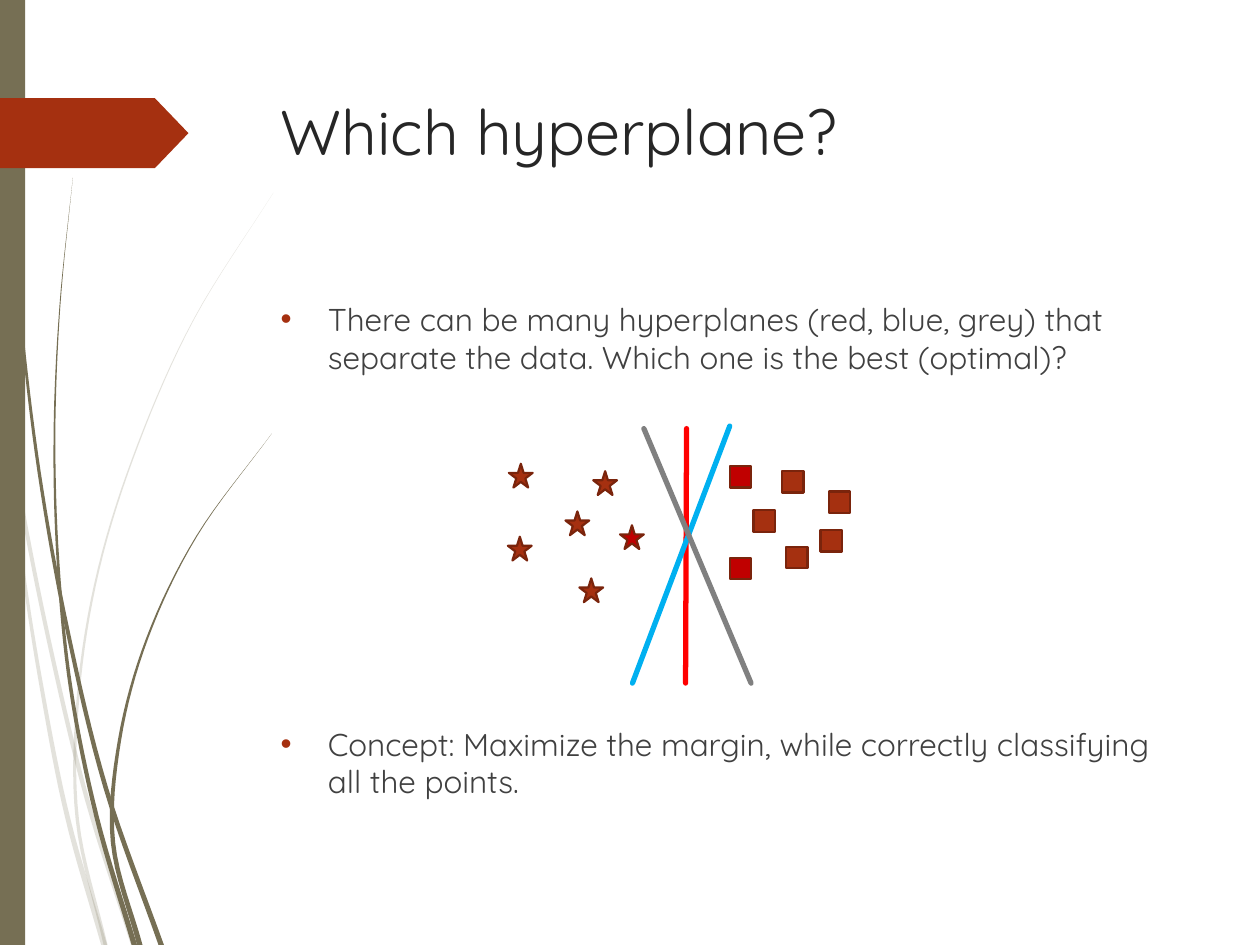
"""Build the slide about choosing a separating hyperplane."""
from collections import namedtuple

from lxml.etree import SubElement
from pptx import Presentation
from pptx.dml.color import RGBColor
from pptx.enum.shapes import MSO_CONNECTOR as Connector, MSO_SHAPE as Shape
from pptx.enum.text import MSO_ANCHOR as Anchor, PP_ALIGN as Align
from pptx.oxml.ns import qn
from pptx.util import Cm, Pt

Blade = namedtuple("Blade", "top foot tip_width foot_width opacity centres")
Sample = namedtuple("Sample", "kind size ordinary support_vectors")
Hyperplane = namedtuple("Hyperplane", "color start end")

THEME = {
    "font": "Quicksand", "title_size": 36, "body_size": 18,
    "title": "262626", "body": "404040", "accent": "A53010", "outline": "7A240C",
    "support": "C00000", "olive": "766F54",
    "red": "FF0000", "blue": "00B0F0", "grey": "808080",
    "outline_width": 1.25, "hyperplane_width": 3,
}
PAGE_WIDTH, PAGE_HEIGHT = 25.4, 19.05
TEXT_LEFT, TEXT_WIDTH = 5.41, 18.31
BULLET_INDENT, FIGURE_GAP = 0.95, 199.5

TITLE = "Which hyperplane?"
BULLETS = [
    "There can be many hyperplanes (red, blue, grey) that separate the data. "
    "Which one is the best (optimal)?",
    "Concept: Maximize the margin, while correctly classifying all the points.",
]
SAMPLES = [
    Sample(Shape.STAR_5_POINT, 0.48,
           ordinary=[(10.26, 9.35), (11.4, 10.31), (10.24, 10.82), (11.96, 9.5), (11.68, 11.66)],
           support_vectors=[(12.5, 10.59)]),
    Sample(Shape.RECTANGLE, 0.43,
           ordinary=[(15.77, 9.5), (16.54, 10.69), (15.19, 10.29), (15.85, 11.02), (16.71, 9.91)],
           support_vectors=[(14.71, 11.25), (14.71, 9.4)]),
]
HYPERPLANES = [
    Hyperplane("red", start=(13.84, 8.64), end=(13.82, 13.77)),
    Hyperplane("blue", start=(14.71, 8.59), end=(12.75, 13.77)),
    Hyperplane("grey", start=(12.98, 8.64), end=(15.14, 13.77)),
]
GRASS = [
    Blade(7.37, PAGE_HEIGHT, 0.07, 0.1, 20, [0, 0.46, 1.05, 1.76, 2.69]),
    Blade(8.89, PAGE_HEIGHT, 0.04, 0.12, 20, [0.2, 0.46, 0.86, 1.37, 2.1]),
    Blade(3.89, PAGE_HEIGHT, 0, 0.08, 20, [5.51, 3.92, 2.79, 1.99, 1.58, 1.56, 2.13]),
    Blade(0, PAGE_HEIGHT, 0.02, 0.11, 100, [0.06, 0.16, 0.41, 0.79, 1.36, 2.13, 3.25]),
    Blade(3.58, PAGE_HEIGHT, 0, 0.11, 100, [1.47, 1.21, 1.1, 1.17, 1.43, 1.95, 2.71]),
    Blade(8.74, PAGE_HEIGHT, 0, 0.11, 100, [5.48, 3.97, 2.97, 2.41, 2.28, 2.82]),
]


def color(name):
    return RGBColor.from_string(THEME[name])


def paint(shape, fill, outline=None):
    shape.shadow.inherit = False
    shape.fill.solid()
    shape.fill.fore_color.rgb = color(fill)
    if outline:
        shape.line.color.rgb = color(outline)
        shape.line.width = Pt(THEME["outline_width"])
    else:
        shape.line.fill.background()


def add_preset(slide, kind, box, fill, outline=None):
    shape = slide.shapes.add_shape(kind, *map(Cm, box))
    paint(shape, fill, outline)
    return shape


def smooth(values, steps=8):
    """Return a Catmull-Rom curve through evenly spaced values."""
    first, last = 2 * values[0] - values[1], 2 * values[-1] - values[-2]
    padded = [first, *values, last]
    curve = []
    for before, start, end, after in zip(padded, padded[1:], padded[2:], padded[3:]):
        linear = end - before
        square = 2 * before - 5 * start + 4 * end - after
        cubic = 3 * start - before - 3 * end + after
        for step in range(steps):
            t = step / steps
            curve.append(start + (linear * t + square * t**2 + cubic * t**3) / 2)
    return curve + [values[-1]]


def add_blade(slide, blade):
    """Draw a curved blade that widens evenly from tip to foot."""
    centres = smooth(blade.centres)
    left_edge, right_edge = [], []
    for index, centre in enumerate(centres):
        share = index / (len(centres) - 1)
        y = Cm(blade.top + share * (blade.foot - blade.top))
        half = (blade.tip_width + share * (blade.foot_width - blade.tip_width)) / 2
        left_edge.append((Cm(centre - half), y))
        right_edge.append((Cm(centre + half), y))
    outline = left_edge + right_edge[::-1]
    builder = slide.shapes.build_freeform(*outline[0])
    builder.add_line_segments(outline[1:], close=True)
    shape = builder.convert_to_shape()
    paint(shape, "olive")
    if blade.opacity < 100:
        fill = next(shape.element.spPr.iter(qn("a:srgbClr")))
        SubElement(fill, qn("a:alpha")).set("val", str(blade.opacity * 1000))


def add_decoration(slide):
    for blade in GRASS:
        add_blade(slide, blade)
    add_preset(slide, Shape.RECTANGLE, (0, 0, 0.51, PAGE_HEIGHT), "olive")
    tag = add_preset(slide, Shape.PENTAGON, (0, 1.98, 3.8, 1.41), "accent")
    tag.adjustments[0] = 0.48


def place_text(shape, top, height):
    shape.left, shape.top = Cm(TEXT_LEFT), Cm(top)
    shape.width, shape.height = Cm(TEXT_WIDTH), Cm(height)
    shape.text_frame.word_wrap = True
    shape.text_frame.vertical_anchor = Anchor.TOP


def write(paragraph, text, role):
    paragraph.text = text
    paragraph.alignment = Align.LEFT
    font = paragraph.runs[0].font
    font.name = THEME["font"]
    font.size = Pt(THEME[role + "_size"])
    font.color.rgb = color(role)


def add_bullet(paragraph):
    properties = paragraph._p.get_or_add_pPr()
    properties.set("marL", str(Cm(BULLET_INDENT)))
    properties.set("indent", str(Cm(-BULLET_INDENT)))
    bullet_color = SubElement(properties, qn("a:buClr"))
    SubElement(bullet_color, qn("a:srgbClr")).set("val", THEME["accent"])
    SubElement(properties, qn("a:buFont")).set("typeface", "Arial")
    SubElement(properties, qn("a:buChar")).set("char", "•")


def add_text(slide):
    title = slide.shapes.title
    place_text(title, top=1.73, height=3.56)
    write(title.text_frame.paragraphs[0], TITLE, "title")

    body = slide.shapes.add_textbox(0, 0, 0, 0)
    place_text(body, top=5.92, height=10.49)
    frame = body.text_frame
    for index, text in enumerate(BULLETS):
        paragraph = frame.add_paragraph() if index else frame.paragraphs[0]
        write(paragraph, text, "body")
        paragraph.space_before = Pt(FIGURE_GAP if index else 0)
        add_bullet(paragraph)


def add_sample(slide, sample):
    for fill, corners in (("accent", sample.ordinary), ("support", sample.support_vectors)):
        for corner in corners:
            add_preset(slide, sample.kind, (*corner, sample.size, sample.size), fill, "outline")


def add_hyperplane(slide, hyperplane):
    ends = map(Cm, hyperplane.start + hyperplane.end)
    connector = slide.shapes.add_connector(Connector.STRAIGHT, *ends)
    connector.line.color.rgb = color(hyperplane.color)
    connector.line.width = Pt(THEME["hyperplane_width"])
    properties = connector.element.spPr
    properties.find(qn("a:ln")).set("cap", "rnd")
    SubElement(properties, qn("a:effectLst"))


def main():
    presentation = Presentation()
    presentation.slide_width, presentation.slide_height = Cm(PAGE_WIDTH), Cm(PAGE_HEIGHT)
    slide = presentation.slides.add_slide(presentation.slide_layouts[5])
    add_decoration(slide)
    add_text(slide)
    for sample in SAMPLES:
        add_sample(slide, sample)
    for hyperplane in HYPERPLANES:
        add_hyperplane(slide, hyperplane)
    presentation.save("out.pptx")


if __name__ == "__main__":
    main()
